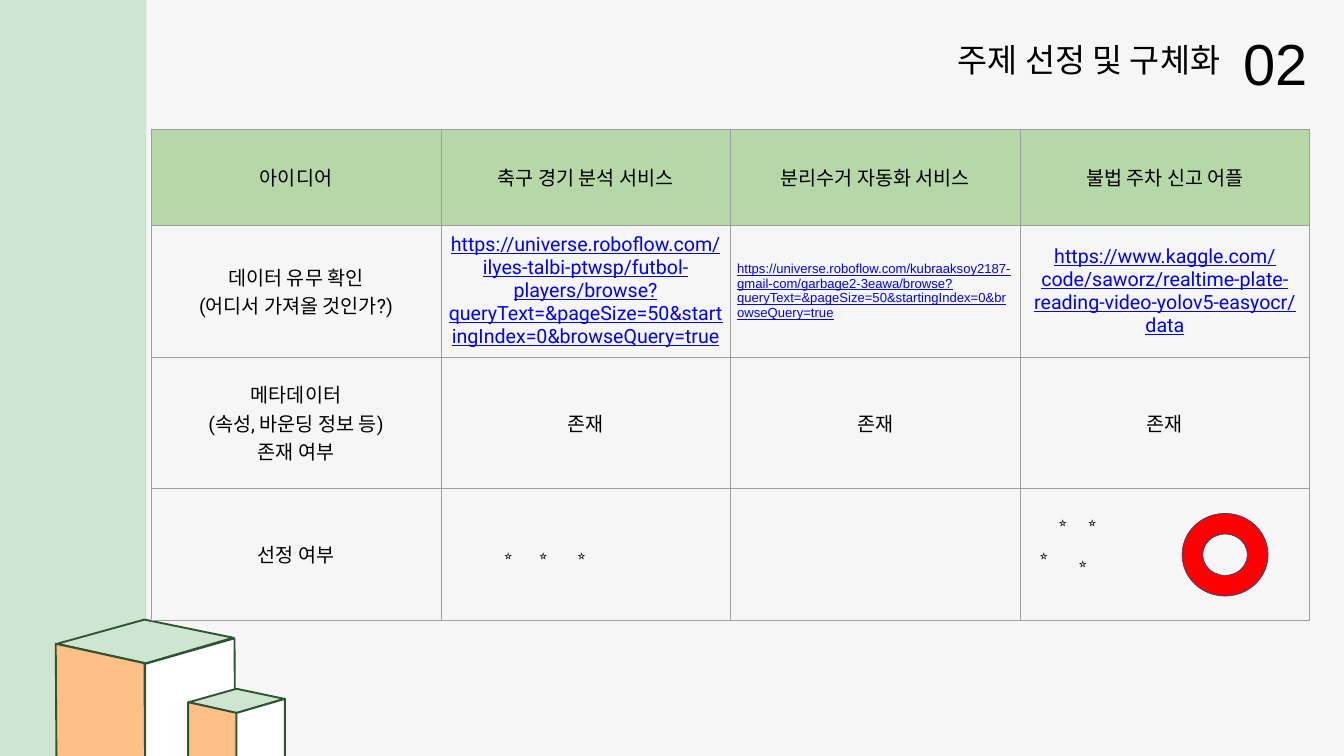
from lxml import etree
from pptx import Presentation
from pptx.dml.color import RGBColor
from pptx.enum.shapes import MSO_SHAPE
from pptx.enum.text import MSO_ANCHOR, PP_ALIGN
from pptx.oxml.ns import qn
from pptx.util import Inches, Pt

RECTANGLE, DONUT = MSO_SHAPE.RECTANGLE, MSO_SHAPE.DONUT
LEFT, CENTER, RIGHT = PP_ALIGN.LEFT, PP_ALIGN.CENTER, PP_ALIGN.RIGHT
TOP, MIDDLE = MSO_ANCHOR.TOP, MSO_ANCHOR.MIDDLE
TITLE_ONLY = 5

COLORS = {
    "background": "F6F6F6", "mint": "CEE5D0", "header": "B6D7A8",
    "orange": "FFBF86", "white": "FFFFFF", "outline": "2D5531",
    "grid": "9E9E9E", "text": "000000", "link": "0000FF",
    "ring": "FF0000", "ring_edge": "1F497D",
}

ROWS = [
    ["아이디어", "축구 경기 분석 서비스", "분리수거 자동화 서비스", "불법 주차 신고 어플"],
    ["데이터 유무 확인\n(어디서 가져올 것인가?)",
     "https://universe.roboflow.com/ilyes-talbi-ptwsp/futbol-players/browse"
     "?queryText=&pageSize=50&startingIndex=0&browseQuery=true",
     "https://universe.roboflow.com/kubraaksoy2187-gmail-com/garbage2-3eawa/browse"
     "?queryText=&pageSize=50&startingIndex=0&browseQuery=true",
     "https://www.kaggle.com/code/saworz/realtime-plate-reading-video-yolov5-easyocr/data"],
    ["메타데이터\n(속성, 바운딩 정보 등)\n존재 여부", "존재", "존재", "존재"],
    ["선정 여부", "", "", ""],
]
ROW_HEIGHTS = [1.43, 1.96, 1.96, 1.96]
COLUMN_WIDTH = 4.31
SMALL_LINK = (1, 2)  # row and column of the link set in smaller type

STARS = [(7.4, 8.04), (7.92, 8.04), (8.49, 8.04),
         (16.09, 7.56), (15.65, 7.56), (15.37, 8.04), (15.95, 8.16)]

# Faces of the two boxes: fill and corner points
BOX_FACES = [
    ("mint", [(2.15, 9.22), (3.47, 9.49), (2.17, 9.87), (0.85, 9.58)]),
    ("orange", [(0.83, 9.58), (2.15, 9.87), (2.16, 11.54), (0.84, 11.26)]),
    ("white", [(3.49, 9.5), (2.16, 9.88), (2.16, 11.54), (3.5, 11.15)]),
    ("mint", [(3.52, 10.25), (4.23, 10.4), (3.52, 10.61), (2.81, 10.45)]),
    ("orange", [(2.8, 10.45), (3.52, 10.61), (3.52, 11.51), (2.8, 11.36)]),
    ("white", [(4.24, 10.4), (3.52, 10.61), (3.52, 11.51), (4.24, 11.3)]),
]


def rgb(name):
    return RGBColor.from_string(COLORS[name])


def paint(shape, fill, line=None, width=0.75):
    shape.shadow.inherit = False
    shape.fill.solid()
    shape.fill.fore_color.rgb = rgb(fill)
    if line:
        shape.line.color.rgb = rgb(line)
        shape.line.width = Pt(width)
    else:
        shape.line.fill.background()


def write(frame, text, size, font, align=LEFT, color="text", underline=None):
    for index, line in enumerate(text.split("\n")):
        paragraph = frame.add_paragraph() if index else frame.paragraphs[0]
        paragraph.alignment = align
        run = paragraph.add_run()
        run.text = line
        run.font.size = Pt(size)
        run.font.name = font
        run.font.color.rgb = rgb(color)
        run.font.underline = underline


def set_insets(frame, vertical):
    frame.word_wrap = True
    frame.vertical_anchor = TOP
    frame.margin_left = frame.margin_right = Inches(0.1)
    frame.margin_top = frame.margin_bottom = Inches(vertical)


def add_title(slide, text):
    title = slide.shapes.title
    title.left, title.top = Inches(13.47), Inches(0.54)
    title.width, title.height = Inches(4.79), Inches(0.69)
    set_insets(title.text_frame, 0.05)
    write(title.text_frame, text, 35, "Arial", RIGHT)


def add_label(slide, text, left, top, width, height, size, font, inset):
    label = slide.shapes.add_textbox(
        Inches(left), Inches(top), Inches(width), Inches(height))
    set_insets(label.text_frame, inset)
    write(label.text_frame, text, size, font)


def add_shape(slide, kind, left, top, width, height, *style):
    shape = slide.shapes.add_shape(
        kind, Inches(left), Inches(top), Inches(width), Inches(height))
    paint(shape, *style)
    return shape


def add_face(slide, fill, corners):
    points = [(Inches(x), Inches(y)) for x, y in corners]
    builder = slide.shapes.build_freeform(*points[0], scale=1.0)
    builder.add_line_segments(points[1:], close=True)
    paint(builder.convert_to_shape(), fill, "outline", 2)


def set_borders(cell):
    properties = cell._tc.get_or_add_tcPr()
    for index, side in enumerate(("a:lnL", "a:lnR", "a:lnT", "a:lnB")):
        line = etree.Element(qn(side), w=str(Pt(0.75)))
        fill = etree.SubElement(line, qn("a:solidFill"))
        etree.SubElement(fill, qn("a:srgbClr"), val=COLORS["grid"])
        properties.insert(index, line)


def add_comparison_table(slide):
    columns = len(ROWS[0])
    table = slide.shapes.add_table(
        len(ROWS), columns, Inches(2.25), Inches(1.92),
        Inches(COLUMN_WIDTH * columns), Inches(sum(ROW_HEIGHTS))).table
    table.first_row = table.horz_banding = False
    for column in table.columns:
        column.width = Inches(COLUMN_WIDTH)
    for r, texts in enumerate(ROWS):
        table.rows[r].height = Inches(ROW_HEIGHTS[r])
        for c, text in enumerate(texts):
            cell = table.cell(r, c)
            cell.vertical_anchor = MIDDLE
            cell.margin_left = cell.margin_right = Inches(0.1)
            cell.margin_top = cell.margin_bottom = Inches(0.1)
            if r == 0:
                cell.fill.solid()
                cell.fill.fore_color.rgb = rgb("header")
            else:
                cell.fill.background()
            set_borders(cell)
            if not text:
                continue
            size, font, align = ((14, "Arial", LEFT) if (r, c) == SMALL_LINK
                                 else (21, "Roboto", CENTER))
            is_link = text.startswith("https")
            write(cell.text_frame, text, size, font, align,
                  "link" if is_link else "text", is_link or None)


def main():
    deck = Presentation()
    deck.slide_width, deck.slide_height = Inches(20), Inches(11.25)
    slide = deck.slides.add_slide(deck.slide_layouts[TITLE_ONLY])
    slide.background.fill.solid()
    slide.background.fill.fore_color.rgb = rgb("background")

    # Side band and heading
    add_shape(slide, RECTANGLE, -0.01, -0.62, 2.19, 13.08, "mint")
    add_label(slide, "02", 18.41, 0.36, 1.48, 1.14, 62, "Arial", 0.05)
    add_title(slide, "주제 선정 및 구체화")

    # Corner boxes
    for fill, corners in BOX_FACES:
        add_face(slide, fill, corners)

    # Idea comparison with ratings and the chosen idea
    add_comparison_table(slide)
    for left, top in STARS:
        add_label(slide, "⭐", left, top, 0.44, 0.44, 14, "Calibri", 0.1)
    ring = add_shape(slide, DONUT, 17.59, 7.64, 1.28, 1.23, "ring", "ring_edge")
    ring.adjustments[0] = 0.25

    deck.save("out.pptx")


if __name__ == "__main__":
    main()
